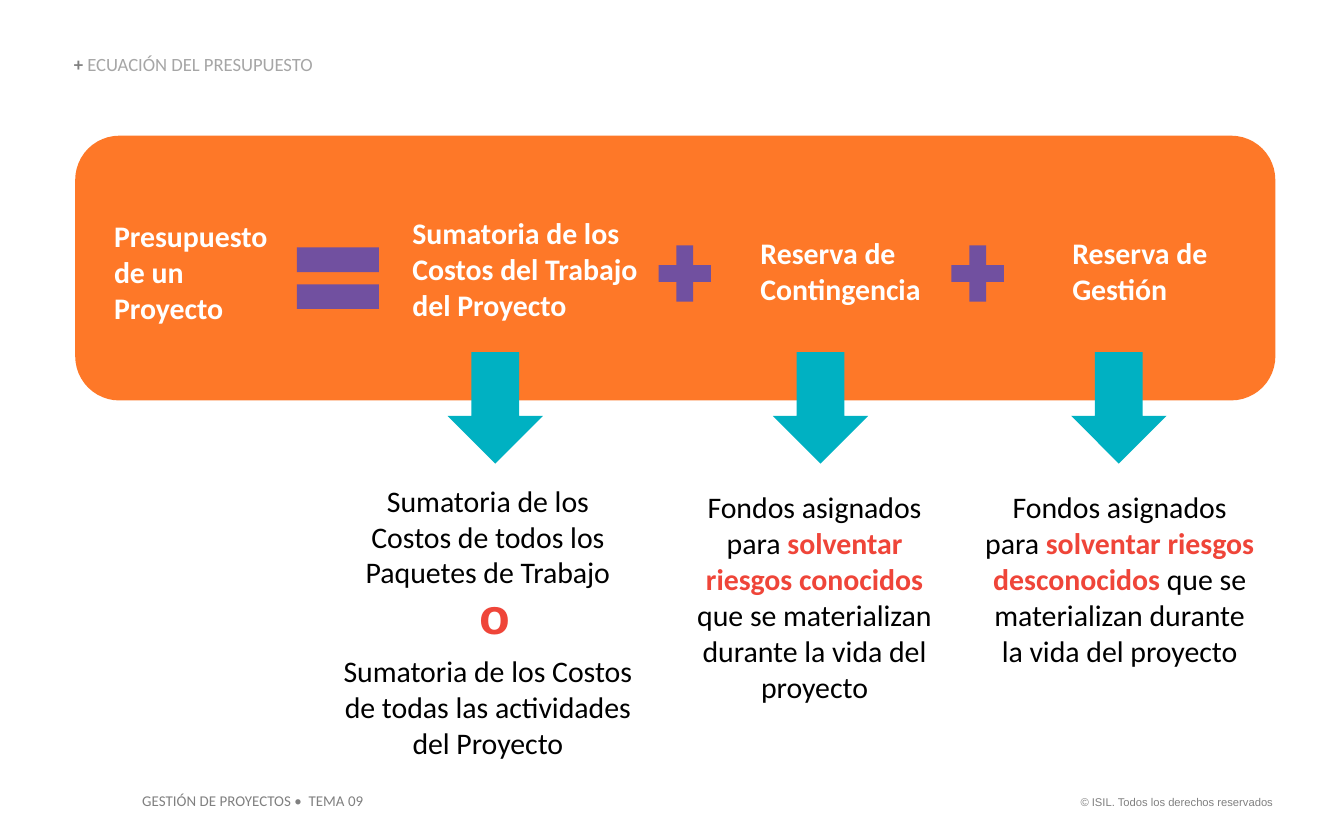
from pptx import Presentation
from pptx.dml.color import RGBColor
from pptx.enum.shapes import MSO_SHAPE
from pptx.enum.text import MSO_ANCHOR, MSO_AUTO_SIZE, PP_ALIGN
from pptx.util import Inches, Pt

COLORS = {
    "orange": "FE7828",
    "purple": "7150A0",
    "teal": "00B1C2",
    "red": "EF4539",
    "white": "FFFFFF",
    "black": "000000",
    "gray": "808080",
    "light_gray": "A6A6A6",
}
SLIDE_WIDTH, SLIDE_HEIGHT = Inches(10), Inches(6.25)
COLUMN, ROW = SLIDE_WIDTH / 100, SLIDE_HEIGHT / 62.5


def within(box, left, top, width, height):
    """Return a box in slide columns and rows from one relative to a region."""
    return box[0] + left, box[1] + top, width, height


def to_lengths(box):
    """Convert a box in columns and rows to slide lengths."""
    left, top, width, height = box
    return (round(left * COLUMN), round(top * ROW),
            round(width * COLUMN), round(height * ROW))


def write_text(shape, runs, size=16, font="Calibri", color="black", bold=False,
               align=PP_ALIGN.LEFT, anchor=MSO_ANCHOR.TOP,
               margins=(0.1, 0.05, 0.1, 0.05), wrap=True, line_spacing=None):
    """Fill a shape with one paragraph of (text, overrides) runs or plain text."""
    frame = shape.text_frame
    frame.auto_size = MSO_AUTO_SIZE.NONE
    frame.word_wrap = wrap
    frame.vertical_anchor = anchor
    (frame.margin_left, frame.margin_top,
     frame.margin_right, frame.margin_bottom) = map(Inches, margins)
    paragraph = frame.paragraphs[0]
    paragraph.alignment = align
    paragraph.space_before = Pt(0)
    if line_spacing:
        paragraph.line_spacing = line_spacing
    for text, changes in [(runs, {})] if isinstance(runs, str) else runs:
        run = paragraph.add_run()
        run.text = text
        run.font.name = font
        run.font.size = Pt(size)
        run.font.bold = changes.get("bold", bold)
        run.font.color.rgb = RGBColor.from_string(COLORS[changes.get("color", color)])


def add_text(slide, box, runs, **text_format):
    """Add a text box and write its text."""
    write_text(slide.shapes.add_textbox(*to_lengths(box)), runs, **text_format)


def add_block(slide, kind, box, color):
    """Add a plain filled preset shape."""
    shape = slide.shapes.add_shape(kind, *to_lengths(box))
    shape.shadow.inherit = False
    shape.fill.solid()
    shape.fill.fore_color.rgb = RGBColor.from_string(COLORS[color])
    shape.line.fill.background()


def build_title(slide, box):
    """Place and format the title placeholder."""
    title = slide.shapes.title
    title.left, title.top, title.width, title.height = to_lengths(box)
    write_text(title, [("+ ", {"bold": True, "color": "gray"}),
                       ("ECUACIÓN DEL PRESUPUESTO", {})],
               size=10, color="light_gray", anchor=MSO_ANCHOR.BOTTOM,
               margins=(0, 0, 0, 0), line_spacing=0.9)


def build_equation(slide, box):
    """Draw the orange band with the budget terms and their operators."""
    add_block(slide, MSO_SHAPE.ROUNDED_RECTANGLE, box, "orange")
    terms = [
        ("Presupuesto de un Proyecto", (1.9, 5.6, 14.8, 9.1)),
        ("Sumatoria de los Costos del Trabajo del Proyecto", (24.1, 5.4, 21.4, 9.1)),
        ("Reserva de Contingencia", (50, 6.9, 15.2, 6.4)),
        ("Reserva de Gestión", (73.2, 6.9, 13.2, 6.4)),
    ]
    for text, place in terms:
        add_text(slide, within(box, *place), text, color="white", bold=True)
    add_block(slide, MSO_SHAPE.MATH_EQUAL, within(box, 15.4, 6.7, 8.3, 7.8), "purple")
    for left in (42.7, 64.5):
        add_block(slide, MSO_SHAPE.MATH_PLUS, within(box, left, 7.4, 5.3, 5.7), "purple")


def build_explanations(slide, box):
    """Draw the arrows and the explanation under each term."""
    for left in (7.8, 32, 54.2):
        add_block(slide, MSO_SHAPE.DOWN_ARROW, within(box, left, 0, 7.1, 8.3), "teal")
    accent = {"bold": True, "color": "red"}

    def funds(risks):
        return [("Fondos asignados para ", {}), (f"solventar riesgos {risks} ", accent),
                ("que se materializan durante la vida del proyecto", {})]

    explanations = [
        ("Sumatoria de los Costos de todos los Paquetes de Trabajo", (0.7, 9.2, 21.2, 9.1)),
        ("Sumatoria de los Costos de todas las actividades del Proyecto",
         (0, 21.9, 22.6, 9.1)),
        (funds("conocidos"), (26.2, 9.7, 18.8, 17.2)),
        (funds("desconocidos"), (47.7, 9.7, 21.2, 14.5)),
    ]
    for runs, place in explanations:
        add_text(slide, within(box, *place), runs, align=PP_ALIGN.CENTER,
                 margins=(0, 0.05, 0.1, 0.05))
    add_text(slide, within(box, 6.9, 16.8, 8.8, 5.6), "o", size=27, font="Arial",
             color="red", bold=True, align=PP_ALIGN.CENTER)


def build_footer(slide, box):
    """Write the course name and the copyright line."""
    add_text(slide, within(box, 0, 0, 18.5, 2.4), "GESTIÓN DE PROYECTOS •\u2002TEMA 09".replace("\u2002", "  "),
             size=8, color="gray", wrap=False)
    add_text(slide, within(box, 69.5, 0.3, 16.6, 2), "© ISIL. Todos los derechos reservados",
             size=6, font="Arial", color="gray", align=PP_ALIGN.RIGHT, wrap=False)


def main():
    """Build the budget equation slide and save it."""
    presentation = Presentation()
    presentation.slide_width, presentation.slide_height = SLIDE_WIDTH, SLIDE_HEIGHT
    slide = presentation.slides.add_slide(presentation.slide_layouts[5])
    build_title(slide, (5.5, 4.1, 69.3, 1.5))
    build_equation(slide, (5.6, 10.1, 89.3, 19.7))
    build_explanations(slide, (25.5, 26.2, 69, 31))
    build_footer(slide, (9.6, 58.4, 86.1, 2.4))
    presentation.save("out.pptx")


if __name__ == "__main__":
    main()
